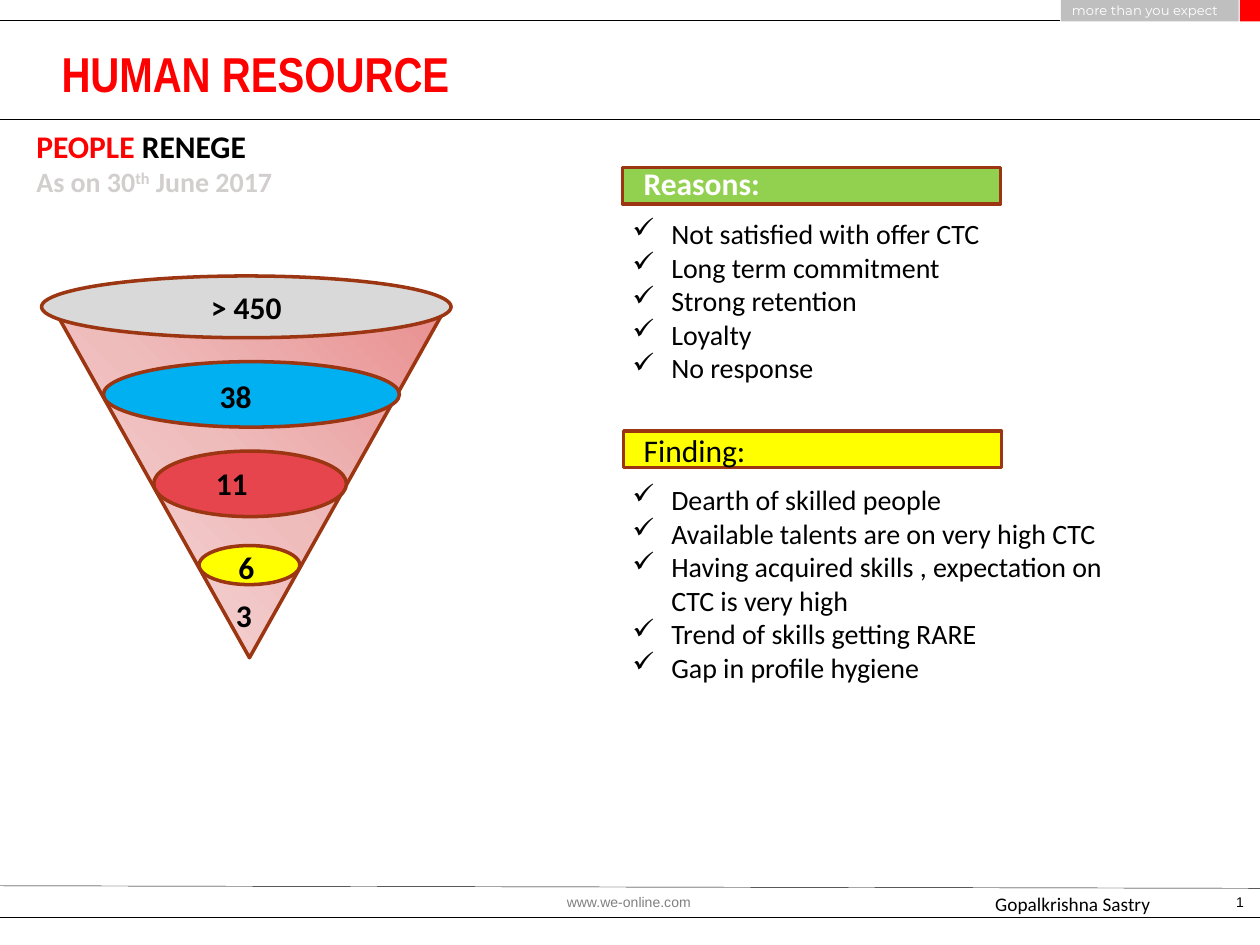
from dataclasses import dataclass

from lxml import etree
from pptx import Presentation
from pptx.dml.color import RGBColor
from pptx.enum.shapes import MSO_CONNECTOR, MSO_SHAPE
from pptx.enum.text import MSO_ANCHOR, PP_ALIGN
from pptx.oxml.ns import qn
from pptx.util import Inches, Pt

SLIDE_WIDTH = Inches(10)
SLIDE_HEIGHT = Inches(7.5)
COLUMN = SLIDE_WIDTH / 100
ROW = SLIDE_HEIGHT / 75

RECTANGLE = MSO_SHAPE.RECTANGLE
ELLIPSE = MSO_SHAPE.OVAL
TRIANGLE = MSO_SHAPE.ISOSCELES_TRIANGLE
STRAIGHT = MSO_CONNECTOR.STRAIGHT
LEFT = PP_ALIGN.LEFT
CENTER = PP_ALIGN.CENTER
RIGHT = PP_ALIGN.RIGHT
TOP = MSO_ANCHOR.TOP
MIDDLE = MSO_ANCHOR.MIDDLE

BLACK = RGBColor(0x00, 0x00, 0x00)
WHITE = RGBColor(0xFF, 0xFF, 0xFF)
RED = RGBColor(0xFF, 0x00, 0x00)
YELLOW = RGBColor(0xFF, 0xFF, 0x00)
GREEN = RGBColor(0x92, 0xD0, 0x50)
BLUE = RGBColor(0x00, 0xB0, 0xF0)
CORAL = RGBColor(0xE7, 0x45, 0x4D)
BROWN = RGBColor(0x9C, 0x35, 0x11)
BAR_GRAY = RGBColor(0xBF, 0xBF, 0xBF)
FUNNEL_GRAY = RGBColor(0xD9, 0xD9, 0xD9)
DATE_GRAY = RGBColor(0xD3, 0xCE, 0xCE)
ADDRESS_GRAY = RGBColor(0x80, 0x80, 0x80)
FUNNEL_STOPS = (
    (0, RGBColor(0xE9, 0x8F, 0x8F)),
    (50, RGBColor(0xEF, 0xBC, 0xBC)),
    (100, RGBColor(0xF7, 0xDE, 0xDE)),
)
FUNNEL_ANGLE = 315
BULLET_INDENT = 3.1


@dataclass(frozen=True)
class Area:
    column: float
    row: float
    columns: float
    rows: float

    def lengths(self) -> tuple[int, int, int, int]:
        return (round(self.column * COLUMN), round(self.row * ROW),
                round(self.columns * COLUMN), round(self.rows * ROW))


@dataclass(frozen=True)
class Span:
    text: str
    size: float = 18
    color: RGBColor = BLACK
    bold: bool = False
    font: str = "Calibri"
    raised: bool = False


@dataclass(frozen=True)
class Para:
    spans: tuple[Span, ...]
    align: PP_ALIGN = LEFT
    indent: float = 0
    bullet: str = ""


@dataclass(frozen=True)
class Stage:
    area: Area
    color: RGBColor


def write_paras(frame, paras: list[Para]) -> None:
    for index, content in enumerate(paras):
        para = frame.add_paragraph() if index else frame.paragraphs[0]
        para.alignment = content.align
        if content.indent:
            margin = round(content.indent * COLUMN)
            properties = para._p.get_or_add_pPr()
            properties.set("marL", str(margin))
            if content.bullet:
                properties.set("indent", str(-margin))
                etree.SubElement(properties, qn("a:buChar")).set("char", content.bullet)
        for span in content.spans:
            run = para.add_run()
            run.text = span.text
            run.font.name = span.font
            run.font.size = Pt(span.size)
            run.font.bold = span.bold
            run.font.color.rgb = span.color
            if span.raised:
                run._r.get_or_add_rPr().set("baseline", "30000")


def add_text(slide, area: Area, paras: list[Para], wrap: bool = False,
             anchor: MSO_ANCHOR = TOP) -> None:
    frame = slide.shapes.add_textbox(*area.lengths()).text_frame
    frame.word_wrap = wrap
    frame.vertical_anchor = anchor
    write_paras(frame, paras)


def add_label(slide, area: Area, span: Span, align: PP_ALIGN = LEFT) -> None:
    add_text(slide, area, [Para((span,), align)])


def add_filled(slide, kind: MSO_SHAPE, area: Area, color: RGBColor, outlined: bool = True):
    shape = slide.shapes.add_shape(kind, *area.lengths())
    shape.shadow.inherit = False
    shape.fill.solid()
    shape.fill.fore_color.rgb = color
    if outlined:
        shape.line.color.rgb = BROWN
        shape.line.width = Pt(2)
    else:
        shape.line.fill.background()
    return shape


def add_rule(slide, start_row: float, end_row: float, columns: float) -> None:
    line = slide.shapes.add_connector(STRAIGHT, 0, round(start_row * ROW),
                                      round(columns * COLUMN), round(end_row * ROW))
    line.line.color.rgb = BLACK
    line.line.width = Pt(0.25)
    etree.SubElement(line._element.spPr, qn("a:effectLst"))


def add_funnel_cone(slide, area: Area) -> None:
    cone = add_filled(slide, TRIANGLE, area, FUNNEL_STOPS[0][1])
    cone.rotation = 180
    solid = cone._element.spPr.find(qn("a:solidFill"))
    gradient = etree.Element(qn("a:gradFill"), rotWithShape="1")
    stops = etree.SubElement(gradient, qn("a:gsLst"))
    for share, color in FUNNEL_STOPS:
        stop = etree.SubElement(stops, qn("a:gs"), pos=str(share * 1000))
        etree.SubElement(stop, qn("a:srgbClr"), val=str(color))
    etree.SubElement(gradient, qn("a:lin"), ang=str(FUNNEL_ANGLE * 60000), scaled="1")
    solid.getparent().replace(solid, gradient)


def check(text: str) -> Para:
    return Para((Span(text, 16),), indent=BULLET_INDENT, bullet="✓")


def add_frame(slide) -> None:
    add_label(slide, Area(44, 70.4, 12, 2.4),
              Span("www.we-online.com", 8, ADDRESS_GRAY, font="Arial"))
    add_filled(slide, RECTANGLE, Area(84.2, 0, 14.1, 1.7), BAR_GRAY, False)
    add_filled(slide, RECTANGLE, Area(98.4, 0, 1.6, 1.7), RED, False)
    add_label(slide, Area(84.1, -0.3, 14.6, 2.3),
              Span("more than you expect", 7.5, WHITE, font="Montserrat"))
    for start_row, end_row, columns in ((1.6, 1.6, 84.1), (70.3, 70.5, 100),
                                        (72.8, 72.8, 100), (9.5, 9.5, 100)):
        add_rule(slide, start_row, end_row, columns)
    add_text(slide, Area(78, 70.3, 17.9, 2.4),
             [Para((Span("Gopalkrishna Sastry", 11),))], True)
    add_text(slide, Area(95.5, 70.1, 4.2, 2.9),
             [Para((Span("1", 8, font="Arial"),), RIGHT)], True, MIDDLE)


def add_headings(slide) -> None:
    add_text(slide, Area(3.9, 3, 77, 5.3),
             [Para((Span("HUMAN RESOURCE", 28, RED, True, "Arial Narrow"),))], True)
    add_text(slide, Area(1.9, 9.6, 21.2, 6.7), [
        Para((Span("PEOPLE ", 18, RED, True), Span("RENEGE", bold=True))),
        Para((Span("As on 30", 16, DATE_GRAY, True),
              Span("th", 16, DATE_GRAY, True, raised=True),
              Span(" June 2017", 16, DATE_GRAY, True))),
    ])


def add_notes_column(slide) -> None:
    add_filled(slide, RECTANGLE, Area(49.4, 13.3, 30, 2.9), GREEN)
    add_label(slide, Area(50.1, 12.5, 11.3, 4), Span("Reasons:", 18, WHITE, True))
    add_text(slide, Area(49.2, 16.7, 30, 17.2), [check(reason) for reason in (
        "Not satisfied with offer CTC", "Long term commitment",
        "Strong retention", "Loyalty", "No response")])
    add_filled(slide, RECTANGLE, Area(49.5, 34.2, 30, 2.9), YELLOW)
    add_label(slide, Area(50.1, 33.7, 10.2, 4), Span("Finding:"))
    add_text(slide, Area(49.2, 37.8, 40.3, 17.2), [
        check("Dearth of skilled people"),
        check("Available talents are on very high CTC"),
        check("Having acquired skills , expectation on"),
        Para((Span("CTC is very high", 16),), indent=BULLET_INDENT),
        check("Trend of skills getting RARE"),
        check("Gap in profile hygiene"),
    ])


def add_funnel(slide) -> None:
    add_funnel_cone(slide, Area(4.1, 24.2, 31.4, 28))
    rim = add_filled(slide, ELLIPSE, Area(3.3, 21.9, 32.5, 4.9), FUNNEL_GRAY)
    rim.text_frame.vertical_anchor = MIDDLE
    write_paras(rim.text_frame, [Para((Span("> 450", bold=True),), CENTER)])
    for stage in (Stage(Area(8.2, 28.7, 23.5, 5.2), BLUE),
                  Stage(Area(12.2, 35.8, 15.3, 5.2), CORAL),
                  Stage(Area(15.8, 43.3, 8, 3.1), YELLOW)):
        add_filled(slide, ELLIPSE, stage.area, stage.color)
    for count, column, row, columns in (("38", 16.4, 29.4, 4.6), ("11", 16.1, 36.3, 4.6),
                                        ("6", 17.9, 43, 3.3), ("3", 17.7, 46.8, 3.3)):
        add_label(slide, Area(column, row, columns, 4), Span(count, bold=True), CENTER)


def main() -> None:
    deck = Presentation()
    deck.slide_width = SLIDE_WIDTH
    deck.slide_height = SLIDE_HEIGHT
    slide = deck.slides.add_slide(deck.slide_layouts[6])
    add_frame(slide)
    add_headings(slide)
    add_notes_column(slide)
    add_funnel(slide)
    deck.save("out.pptx")


if __name__ == "__main__":
    main()
